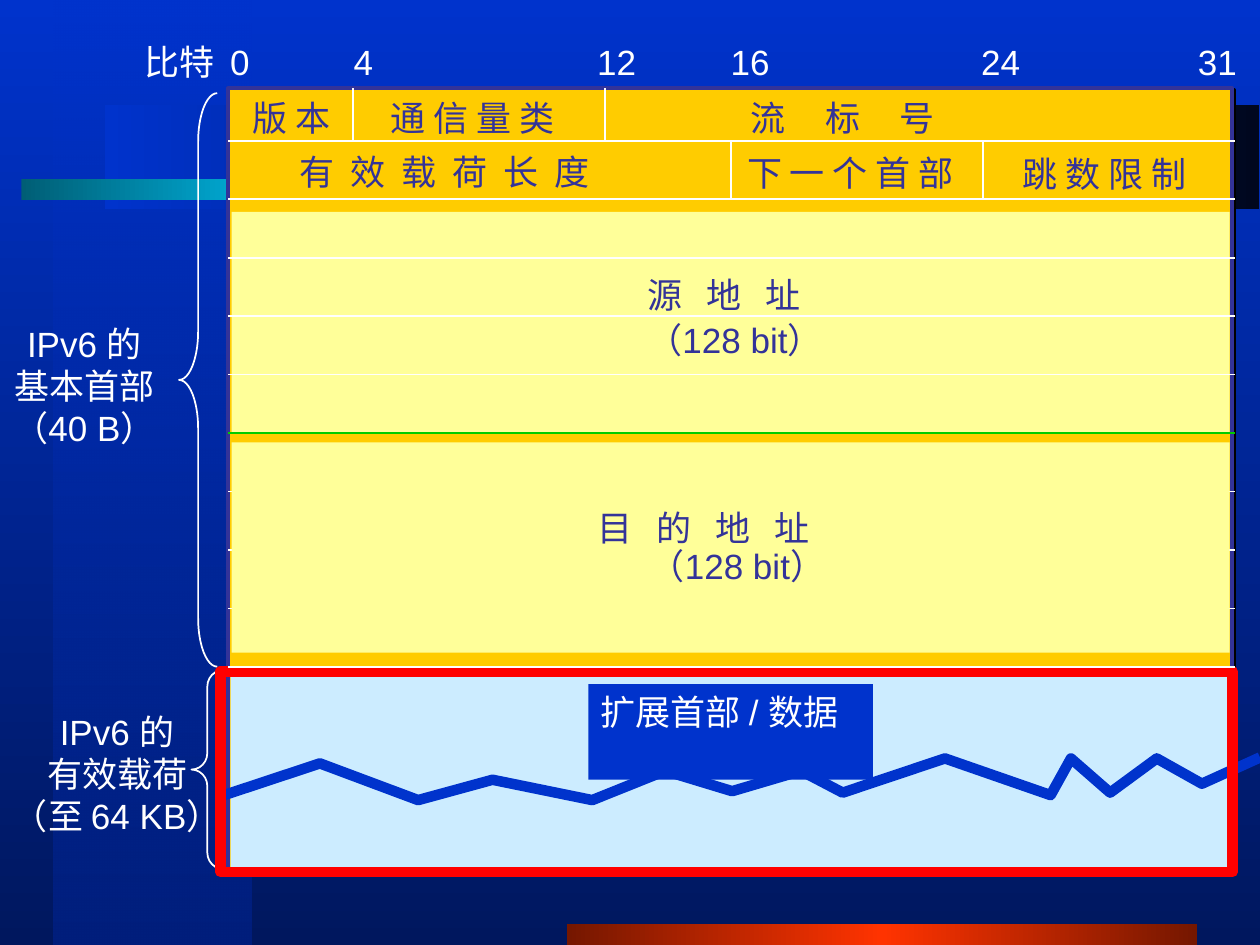
"""Draw the IPv6 packet header layout on one slide."""
from lxml.etree import SubElement
from pptx import Presentation
from pptx.dml.color import RGBColor
from pptx.enum.shapes import MSO_CONNECTOR, MSO_SHAPE
from pptx.enum.text import MSO_ANCHOR, MSO_AUTO_SIZE, PP_ALIGN
from pptx.oxml.ns import qn
from pptx.util import Cm, Pt

WHITE, INK, BLUE = "FFFFFF", "333399", "0033CC"
GOLD, CREAM, PALE, RED, GREEN = "FFCC00", "FFFF99", "CCECFF", "FF0000", "00CC00"
LEFT, RIGHT, BIT = 4.6, 24.89, 0.635
TOP, FIRST, STEP, ROWS = 1.78, 2.84, 1.178, 10

BACK = [(0, BLUE, 100), (100, "00175E", 100)]
BANDS = [
    ((1.07, 0, 4.01, 19.05), 270, [(0, BLUE, 50), (100, "001F7D", 100)]),
    ((11.43, 18.62, 12.7, 0.43), 180,
     [(0, "751700", 100), (50, "FF3300", 100), (100, "751700", 100)]),
    ((2.11, 2.11, 23.27, 2.11), 180, [(0, "00071F", 100), (100, BLUE, 100)]),
    ((0.43, 3.61, 13.13, 0.43), 180,
     [(0, "005E75", 100), (50, "00CCFF", 100), (100, "005E75", 100)]),
]
WAVE = [(4.37, 16.08), (6.45, 15.39), (8.43, 16.13), (9.93, 15.72),
        (11.94, 16.13), (13.41, 15.54), (14.76, 15.95), (16.15, 15.54),
        (16.99, 15.98), (19.05, 15.29), (21.18, 16.03), (21.59, 15.29),
        (22.38, 15.98), (23.32, 15.29), (24.23, 15.8), (25.4, 15.27)]
SPLITS = [(0, 4), (0, 12), (1, 16), (1, 24)]
BRACES = [((3.61, 1.88, 0.77, 11.56), 1.27), ((3.86, 13.51, 0.64, 4.01), 0.52)]
SCALE = [("比特", 2.67, 1.93), ("0", 4.39, 0.89), ("4", 6.88, 0.89),
         ("12", 11.79, 1.3), ("16", 14.48, 1.3), ("24", 19.53, 1.3),
         ("31", 23.9, 1.3)]
FIELDS = [("版 本", 4.85, 1.83, 2.26, 0), ("通 信 量 类", 7.62, 1.83, 4.39, 0),
          ("流 标 号", 14.88, 1.83, 6.17, 9.1),
          ("有 效 载 荷 长 度", 5.79, 2.9, 8.28, 2.3),
          ("下 一 个 首 部", 14.81, 2.92, 5.46, 0),
          ("跳 数 限 制", 20.37, 2.95, 4.39, 0),
          ("源 地 址", 12.8, 5.38, 4.75, 4.6), ("（128 bit）", 12.8, 6.3, 4.37, 0),
          ("目 的 地 址", 11.79, 10.08, 6.5, 4.6),
          ("（128 bit）", 12.85, 10.85, 4.37, 0)]
SIDES = [(["IPv6 的", "基本首部", "（40 B）"], -0.15, 6.38, 3.71),
         (["IPv6 的", "有效载荷", "（至 64 KB）"], -0.25, 14.2, 5.23)]


def rgb(code):
    return RGBColor.from_string(code)


def blend(fill, root, angle, stops):
    fill.gradient()
    fill.gradient_angle = angle
    ramp = root.xpath(".//a:gsLst")[0]
    for old in list(ramp):
        ramp.remove(old)
    for pos, code, solid in stops:
        stop = SubElement(ramp, qn("a:gs"), pos=str(pos * 1000))
        tint = SubElement(stop, qn("a:srgbClr"), val=code)
        if solid < 100:
            SubElement(tint, qn("a:alpha"), val=str(solid * 1000))


def shape(box, fill=None, line=None, width=1, kind=MSO_SHAPE.RECTANGLE):
    item = shapes.add_shape(kind, *map(Cm, box))
    paint(item, fill, line, width)
    return item


def paint(item, fill, line, width):
    item.shadow.inherit = False
    if fill:
        item.fill.solid()
        item.fill.fore_color.rgb = rgb(fill)
    else:
        item.fill.background()
    if line:
        item.line.color.rgb = rgb(line)
        item.line.width = Pt(width)
    else:
        item.line.fill.background()


def rule(x1, y1, x2, y2, code=WHITE):
    item = shapes.add_connector(MSO_CONNECTOR.STRAIGHT, *map(Cm, (x1, y1, x2, y2)))
    item.line.color.rgb = rgb(code)
    item.line.width = Pt(1)
    SubElement(item.element.spPr, qn("a:effectLst"))


def write(frame, lines, code, align=PP_ALIGN.LEFT, gap=0):
    for i, line in enumerate(lines):
        para = frame.paragraphs[0] if i == 0 else frame.add_paragraph()
        para.alignment = align
        run = para.add_run()
        run.text = line
        if gap:
            run.font._element.set("spc", str(round(gap * 100)))
        para.font.name = "Arial"
        para.font.size = Pt(20)
        para.font.color.rgb = rgb(code)


def label(lines, x, y, w, code, align=PP_ALIGN.LEFT, gap=0):
    high = 1.09 if len(lines) == 1 else 2.79
    frame = shapes.add_textbox(*map(Cm, (x, y, w, high))).text_frame
    frame.word_wrap = False
    frame.auto_size = MSO_AUTO_SIZE.SHAPE_TO_FIT_TEXT
    write(frame, lines, code, align, gap)


deck = Presentation()
deck.slide_width, deck.slide_height = Cm(25.4), Cm(19.05)
slide = deck.slides.add_slide(deck.slide_layouts[6])
shapes = slide.shapes
blend(slide.background.fill, slide.element, 270, BACK)
for box, angle, stops in BANDS:
    band = shape(box)
    blend(band.fill, band.element, angle, stops)

table = shape((LEFT, TOP, 20.24, 15.77), GOLD, INK, 2.25)
effect = table.element.spPr.find(qn("a:effectLst"))
shade = SubElement(effect, qn("a:outerShdw"), dist="17960", dir="2700000",
                   algn="ctr", rotWithShape="0")
SubElement(shade, qn("a:srgbClr"), val="000000")

shape((4.67, 4.27, 20.12, 4.45), CREAM)
shape((4.65, 13.46, 20.19, 4.06), PALE)
data = shape((11.86, 13.79, 5.74, 1.93), BLUE).text_frame
data.word_wrap = True
data.vertical_anchor = MSO_ANCHOR.TOP
write(data, ["扩展首部 / 数据"], WHITE)

pen = shapes.build_freeform(*map(Cm, WAVE[0]))
pen.add_line_segments([(Cm(x), Cm(y)) for x, y in WAVE[1:]], close=False)
paint(pen.convert_to_shape(), None, BLUE, 6)
for box, bend in BRACES:
    brace = shape(box, None, WHITE, 1, MSO_SHAPE.LEFT_BRACE)
    brace.adjustments[0] = bend
shape((4.45, 13.54, 20.4, 4.04), None, RED, 6)

for i in range(ROWS):
    y = FIRST + i * STEP
    rule(LEFT, y, RIGHT, y, GREEN if i == 5 else WHITE)
edges = [TOP, FIRST, FIRST + STEP]
for row, bit in SPLITS:
    x = 4.57 + bit * BIT
    rule(x, edges[row], x, edges[row + 1])
shape((4.67, 8.92, 20.12, 4.24), CREAM)

for text, x, w in SCALE:
    label([text], x, 0.69, w, WHITE)
for text, x, y, w, gap in FIELDS:
    label([text], x, y, w, INK, gap=gap)
for lines, x, y, w in SIDES:
    label(lines, x, y, w, WHITE, PP_ALIGN.CENTER)
deck.save("out.pptx")
